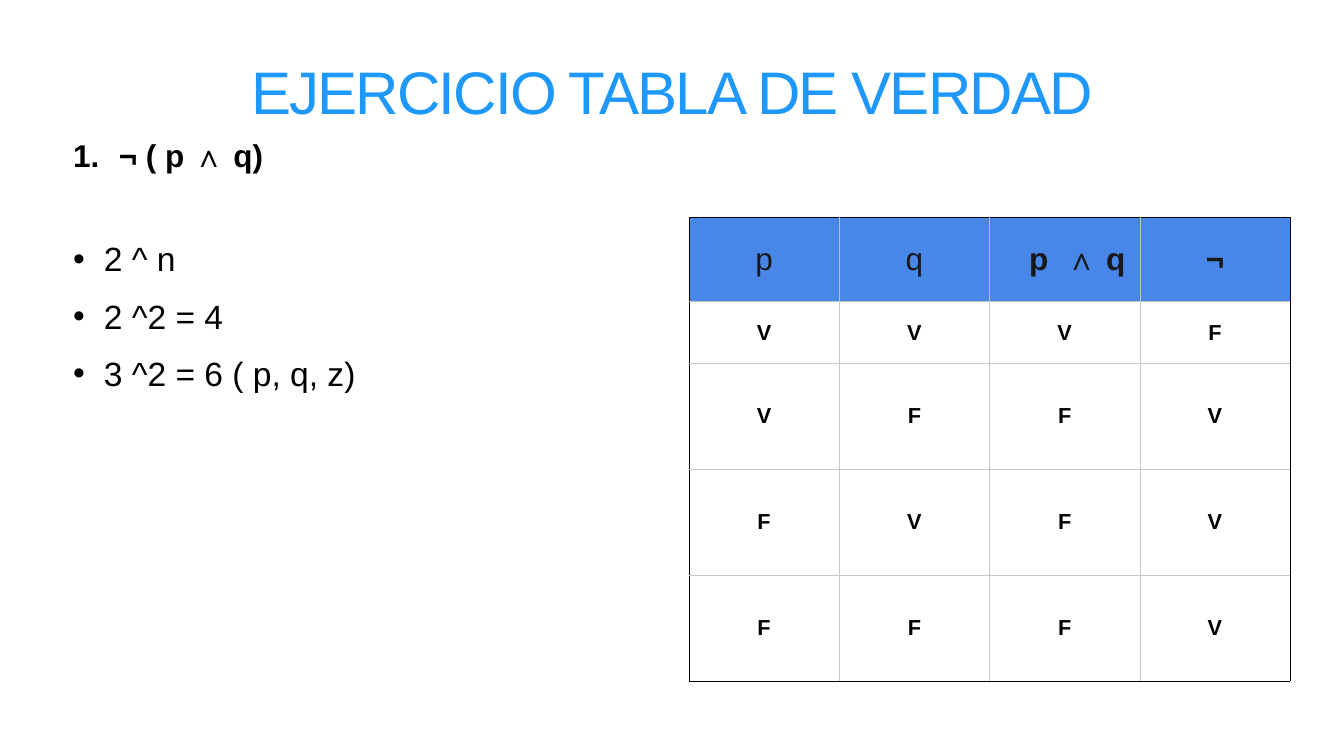
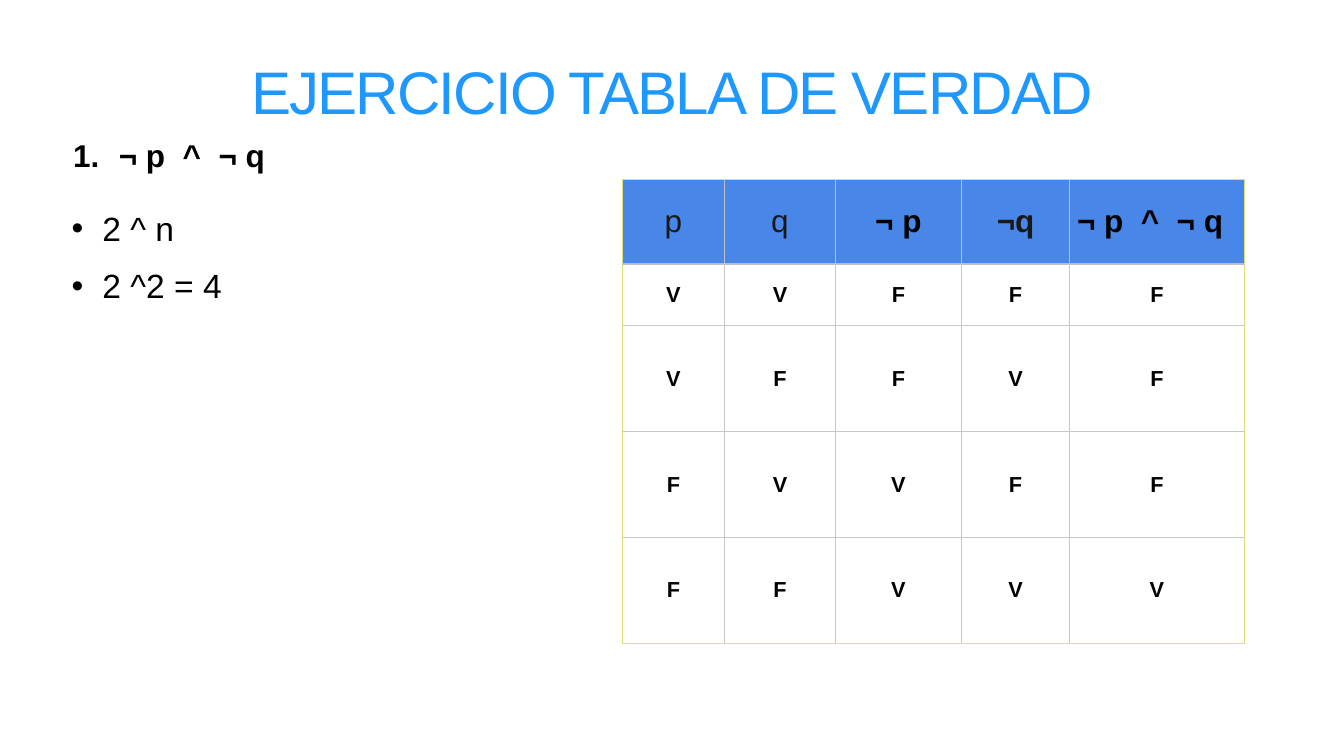
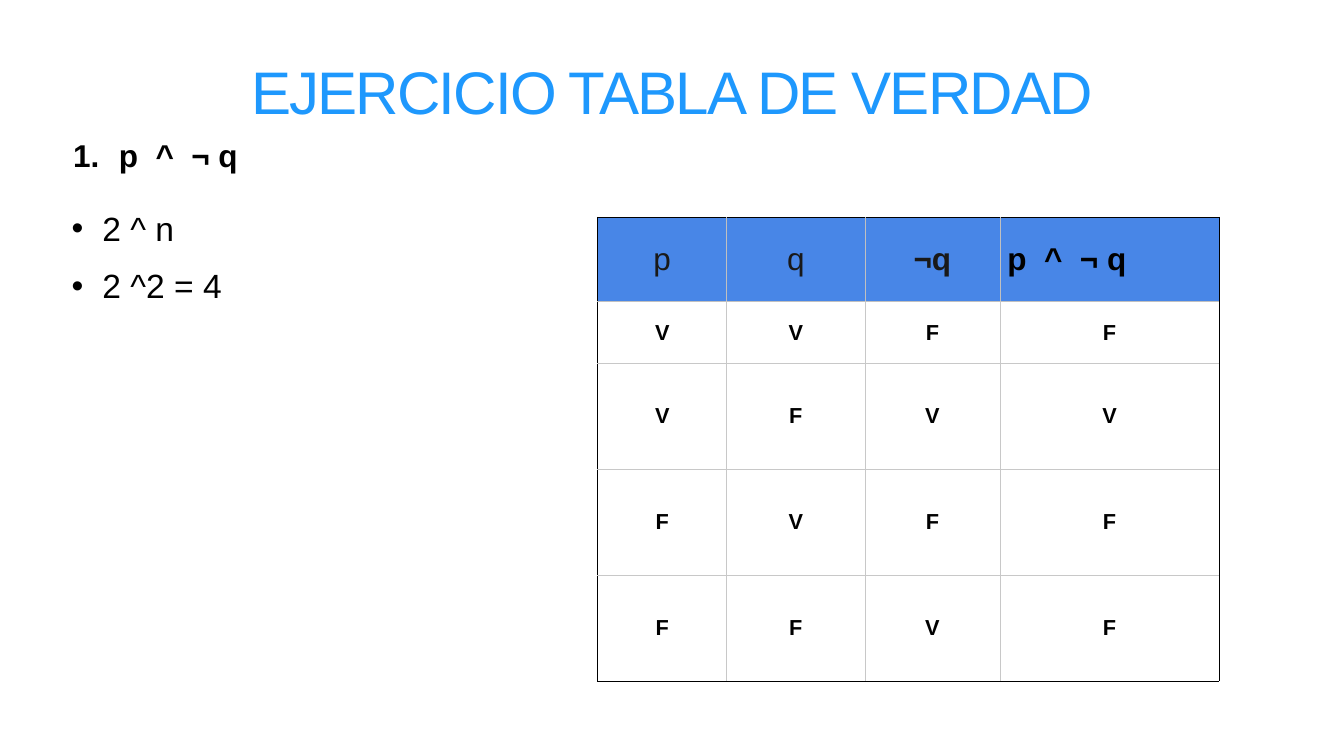
"""Build three slides of truth table exercises."""
from lxml import etree
from pptx import Presentation
from pptx import util as u
from pptx.dml import color
from pptx.enum import text
from pptx.oxml import ns

COLORS = {
    "title": "1E98FD", "title_end": "FF00F7", "ink": "000000", "soft": "191919",
    "header": "4886E7", "header_line": "C0C0C0", "grid": "C8C8C8", "lime": "DCE179",
}
TITLE = "EJERCICIO TABLA DE VERDAD"
TITLE_FRAME = (100, 64, 1720, 122.4)
HEADING_FRAME = (100, 189.4, 1720, 80)
ROW_HEIGHTS = (120.4, 88.6, 151.3, 151.3, 151.3)
INSET, HEADER_INSET = 4.32, 10.8
SIDES = ("left", "right", "top", "bottom")
CENTER, LEFT = text.PP_ALIGN.CENTER, text.PP_ALIGN.LEFT
HEADER_STYLES = {
    "plain": {"size": 45, "ink": "soft"},
    "bold": {"size": 45, "ink": "soft", "bold": True},
    "indented": {"size": 45, "ink": "soft", "bold": True, "indent": 36},
    "black": {"size": 45, "bold": True},
    "left": {"size": 45, "bold": True, "align": LEFT},
}
EXERCISES = [
    {
        "formula": "¬ ( p ∧ q)",
        "notes": ["2 ^ n", "2 ^2 = 4", "3 ^2 = 6 ( p, q, z)"],
        "notes_frame": (100, 336.2, 1720, 664),
        "corner": (984.2, 310.3), "widths": (214.7,) * 4, "outline": "ink",
        "header": [("p", "plain"), ("q", "plain"), ("p  ∧ q", "indented"), ("¬", "bold")],
        "rows": ["VVVF", "VFFV", "FVFV", "FFFV"],
    },
    {
        "formula": "¬ p  ^  ¬ q",
        "notes": ["2 ^ n", "2 ^2 = 4"],
        "notes_frame": (98, 293, 589, 664),
        "corner": (888.5, 256.3), "widths": (146.9, 157.7, 180.7, 154.1, 249.8),
        "outline": "lime",
        "header": [("p", "plain"), ("q", "plain"), ("¬ p", "black"), ("¬q", "bold"),
                   ("¬ p  ^  ¬ q", "left")],
        "rows": ["VVFFF", "VFFVF", "FVVFF", "FFVVV"],
    },
    {
        "formula": "p  ^  ¬ q",
        "notes": ["2 ^ n", "2 ^2 = 4"],
        "notes_frame": (98, 293, 589, 664),
        "corner": (853.9, 310.3), "widths": (184.3, 197.3, 193, 313.2), "outline": "ink",
        "header": [("p", "plain"), ("q", "plain"), ("¬q", "bold"), ("p  ^  ¬ q", "left")],
        "rows": ["VVFF", "VFVV", "FVFF", "FFVF"],
    },
]


def rgb(name):
    """Return the named colour."""
    return color.RGBColor.from_string(COLORS[name])


def add_node(parent, tag, **attributes):
    """Append a drawing element with its attributes."""
    return etree.SubElement(parent, ns.qn(tag), attributes)


class Deck:
    """Hold the shared style and the current slide."""

    def __init__(self):
        """Start an empty deck of the right size."""
        self.deck = Presentation()
        self.deck.slide_width, self.deck.slide_height = u.Pt(1920), u.Pt(1080)
        self.slide = None

    def new_slide(self):
        """Add a slide with a title and two text bodies."""
        self.slide = self.deck.slides.add_slide(self.deck.slide_layouts[3])

    def place(self, index, frame, anchor):
        """Move a placeholder and return its text frame."""
        box = self.slide.placeholders[index]
        for name, value in zip(("left", "top", "width", "height"), frame):
            setattr(box, name, u.Pt(value))
        values = {f"margin_{side}": u.Pt(INSET) for side in SIDES}
        values |= {"word_wrap": True, "auto_size": text.MSO_AUTO_SIZE.NONE,
                   "vertical_anchor": anchor}
        for name, value in values.items():
            setattr(box.text_frame, name, value)
        return box.text_frame

    def add_span(self, para, words, size, ink="ink", bold=False):
        """Add a run of text in the deck's font."""
        span = para.add_run()
        span.text = words
        values = {"name": "Arial", "size": u.Pt(size), "bold": bold}
        for name, value in values.items():
            setattr(span.font, name, value)
        span.font.color.rgb = rgb(ink)
        return span

    def title(self, words):
        """Set the title with its colour gradient."""
        para = self.place(0, TITLE_FRAME, text.MSO_ANCHOR.BOTTOM).paragraphs[0]
        para.alignment, para.line_spacing = CENTER, 0.9
        span = self.add_span(para, words, 85.8, "title")
        span.font.fill.gradient()
        span.font.fill.gradient_angle = 294
        for stop, name in zip(span.font.fill.gradient_stops, ("title", "title_end")):
            stop.color.rgb = rgb(name)
        span._r.get_or_add_rPr().set("spc", "-260")

    def items(self, index, frame, lines, size, indent, numbered=False):
        """Fill a bulleted or numbered list."""
        body = self.place(index, frame, text.MSO_ANCHOR.TOP)
        for number, words in enumerate(lines):
            para = body.add_paragraph() if number else body.paragraphs[0]
            props = para._p.get_or_add_pPr()
            props.set("marL", str(u.Pt(indent)))
            props.set("indent", str(-u.Pt(indent)))
            if numbered:
                add_node(props, "a:buFont", typeface="+mj-lt")
                add_node(props, "a:buAutoNum", type="arabicPeriod")
            else:
                tint = add_node(props, "a:buClr")
                add_node(tint, "a:srgbClr", val=COLORS["ink"])
                add_node(props, "a:buFont", typeface="Arial")
                add_node(props, "a:buChar", char="•")
            para.space_before = u.Pt(24 if number else 0)
            self.add_span(para, words, size, bold=numbered)

    def borders(self, cell, lines):
        """Draw the left, right, top and bottom lines of a cell."""
        props = cell._tc.get_or_add_tcPr()
        for side, (name, width) in zip("LRTB", lines):
            line = add_node(props, f"a:ln{side}", w=str(u.Pt(width)))
            fill = add_node(line, "a:solidFill")
            add_node(fill, "a:srgbClr", val=COLORS[name])

    def cell(self, cell, words, inset, size=31, ink="ink", bold=False, align=CENTER, indent=0):
        """Fill one table cell with text."""
        cell.vertical_anchor = text.MSO_ANCHOR.MIDDLE
        for side in SIDES:
            setattr(cell, f"margin_{side}", u.Pt(inset))
        para = cell.text_frame.paragraphs[0]
        para.alignment = align
        if indent:
            para.level = 1
            props = para._p.get_or_add_pPr()
            props.set("marL", "0")
            props.set("indent", str(u.Pt(indent)))
        self.add_span(para, words, size, ink, bold)

    def truth_table(self, corner, widths, header, rows, outline):
        """Add a truth table with a coloured header row."""
        size = (sum(widths), sum(ROW_HEIGHTS))
        frame = [u.Pt(value) for value in (*corner, *size)]
        table = self.slide.shapes.add_table(len(ROW_HEIGHTS), len(widths), *frame).table
        table.first_row = table.horz_banding = False
        for column, width in zip(table.columns, widths):
            column.width = u.Pt(width)
        last_row, last_column = len(rows), len(widths) - 1
        for r, height in enumerate(ROW_HEIGHTS):
            table.rows[r].height = u.Pt(height)
            inner = ("grid" if r else "header_line", 1)
            edge = (outline, 1)
            for c in range(len(widths)):
                cell = table.cell(r, c)
                below = inner if r else ("header_line", 3)
                self.borders(cell, (edge if c == 0 else inner,
                                    edge if c == last_column else inner,
                                    edge if r == 0 else inner,
                                    edge if r == last_row else below))
                if r:
                    cell.fill.background()
                    self.cell(cell, rows[r - 1][c], INSET, bold=True)
                else:
                    cell.fill.solid()
                    cell.fill.fore_color.rgb = rgb("header")
                    words, style = header[c]
                    self.cell(cell, words, HEADER_INSET, **HEADER_STYLES[style])


def main():
    """Build and save the deck."""
    page = Deck()
    for exercise in EXERCISES:
        page.new_slide()
        page.title(TITLE)
        page.items(1, HEADING_FRAME, [exercise["formula"]], 45, 65.5, numbered=True)
        page.items(2, exercise["notes_frame"], exercise["notes"], 48, 44)
        page.truth_table(*(exercise[key] for key in
                           ("corner", "widths", "header", "rows", "outline")))
    page.deck.save("out.pptx")


if __name__ == "__main__":
    main()
